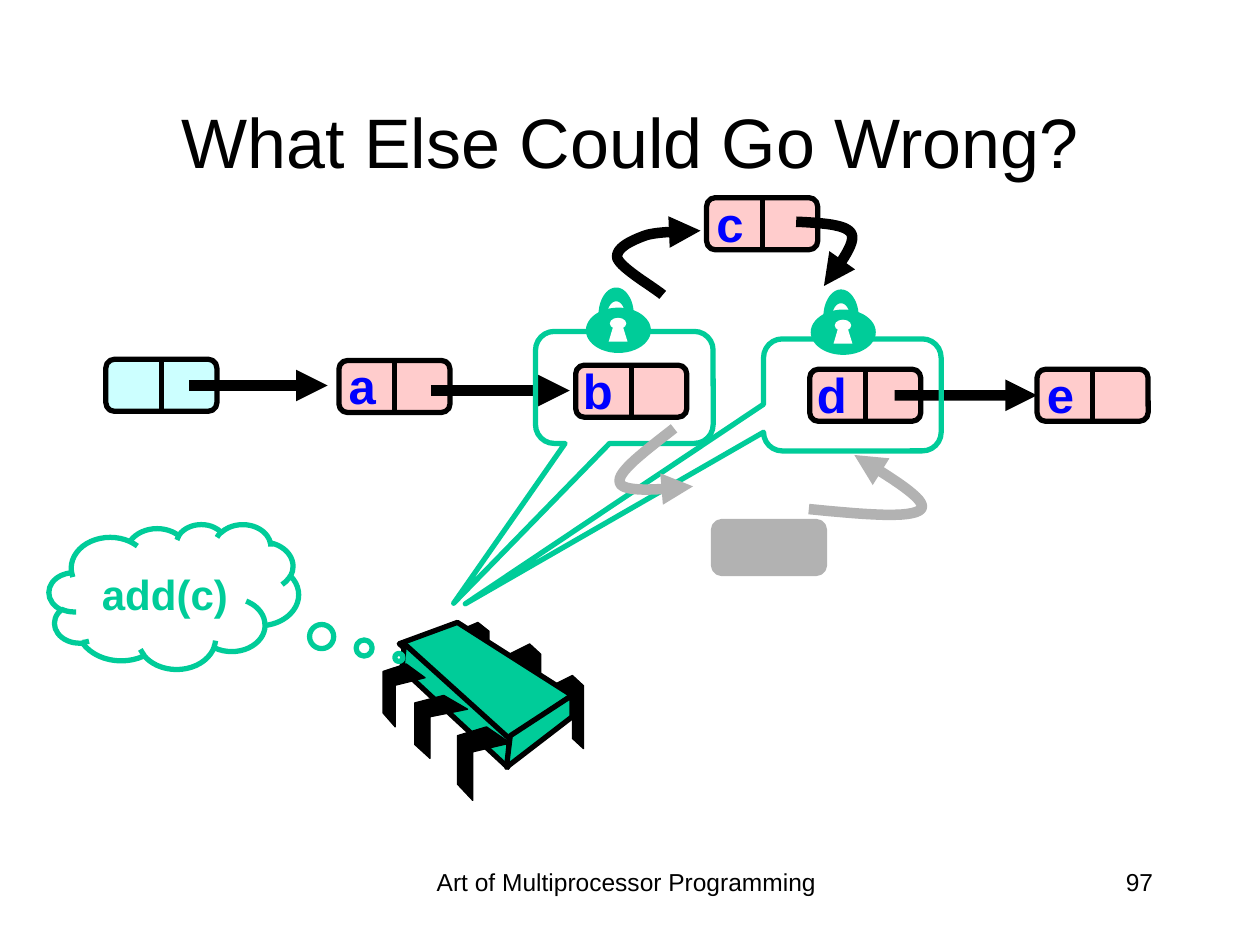
from lxml import etree
from pptx import Presentation
from pptx.dml.color import RGBColor
from pptx.enum.shapes import MSO_CONNECTOR, MSO_SHAPE
from pptx.enum.text import MSO_ANCHOR, PP_ALIGN
from pptx.oxml.ns import qn
from pptx.util import Pt

ROUND, OVAL = MSO_SHAPE.ROUNDED_RECTANGLE, MSO_SHAPE.OVAL
BUBBLE, CLOUD = MSO_SHAPE.ROUNDED_RECTANGULAR_CALLOUT, MSO_SHAPE.CLOUD_CALLOUT
STRAIGHT = MSO_CONNECTOR.STRAIGHT
LEFT, MID, RIGHT = PP_ALIGN.LEFT, PP_ALIGN.CENTER, PP_ALIGN.RIGHT
TOP, CENTER = MSO_ANCHOR.TOP, MSO_ANCHOR.MIDDLE

THEME = {
    "font": "Arial", "title": 40, "key": 28, "call": 24, "foot": 14,
    "black": "000000", "white": "FFFFFF", "blue": "0000FF", "green": "00CC99",
    "pink": "FFCCCC", "cyan": "CCFFFF", "gray": "B2B2B2",
    "thin": 0.75, "edge": 3, "arrow": 6,
}

LABELS = [
    ("Art of Multiprocessor Programming", (223, 492, 270, 36), "foot", MID, TOP),
    ("97", (516, 492, 150, 36), "foot", RIGHT, TOP),
    ("What Else Could Go Wrong?", (54, 35.5, 612, 90), "title", MID, CENTER),
]
NODE = (63.5, 29.75)
CHAIN = [
    ("", 60.5, 205.3, "cyan"),
    ("a", 193.7, 206, "pink"),
    ("b", 329, 208.7, "pink"),
    ("d", 462.7, 211, "pink"),
    ("e", 592.6, 211, "pink"),
]
LINKS = [(108, 220.3, 187.2), (246.2, 223.2, 325.6), (511.2, 225.9, 592.6)]
NEW = ("c", 403.8, 113, "pink")
GONE = ("", 407.7, 298, "gray")

BACK = [(0, .14), (.65, 0), (1, .14), (1, 1), (.65, .86), (.65, .28), (0, .43)]
FRONT = [(.55, 0), (1, .22), (.29, .34), (.29, 1), (0, .78), (0, .12)]
HIND = [(315.4, 386, 18, 41.8), (291, 368, 18, 41.8), (261.4, 355.7, 18, 36)]
FORE = [(261.4, 415.4, 30.2, 42), (237, 397.4, 30.2, 36), (218.9, 379.4, 24, 36)]
FACES = [
    [(261.4, 355.7), (326.9, 397.4), (290.2, 422.6), (228.2, 367.9)],
    [(231.1, 367.9), (290.9, 421.9), (290.2, 438.5), (229.7, 382.3)],
    [(326.9, 397.4), (326.9, 409.7), (289.4, 438.5), (291.6, 420.5)],
]

CALLS = [
    (BUBBLE, (306, 189.4, 101.5, 64), (-.961, 1.927, .167), ""),
    (CLOUD, (28, 299.5, 142.6, 82.8), (.902, .42), "add(c)"),
    (BUBBLE, (436.3, 193.7, 101.5, 64), (-2.179, 1.865, .167), ""),
]

LOCKS = [(334.8, 164.3), (463.3, 165.4)]
SLOT = [(13, 31), (15.8, 21.6), (20.9, 21.6), (23.8, 31)]
INNER = [(12.2, 15.8), (12.2, 11.4), (14.5, 7.9), (17.3, 7.9),
         (20.1, 7.9), (22.3, 11.4), (22.3, 15.8)]
OUTER = [(27.4, 15.8), (27.4, 7.1), (22.9, 0), (17.3, 0),
         (11.7, 0), (7.2, 7.1), (7.2, 15.8)]

RISE = [(378.7, 168.5), (373.7, 164.2), (355, 153.4), (352.8, 147.6), (351.4, 141.8),
        (360.7, 137.5), (368.6, 134.6), (376.6, 131.8), (395.3, 132.5), (400.3, 131.8)]
FALL = [(455, 126.7), (469.4, 127.4), (484.6, 128.2), (486.7, 133.9),
        (489.6, 140.4), (473.8, 158.4), (470.9, 163.4)]
STALE = [
    [(385.2, 244.8), (368.6, 257.8), (352.1, 270), (354.2, 275.8),
     (355.7, 281.5), (375.8, 280), (396, 278)],
    [(462.2, 290.9), (491.8, 293.8), (521.3, 296.6), (526.3, 290.9),
     (530.6, 285.8), (509, 272.9), (488.2, 260)],
]


def color(name):
    return RGBColor.from_string(THEME[name])


def stroke(shape, tint, size, head=False):
    shape.line.color.rgb = color(tint)
    shape.line.width = Pt(THEME[size])
    if head:
        line = shape.element.spPr.find(qn("a:ln"))
        etree.SubElement(line, qn("a:tailEnd")).set("type", "triangle")


def paint(shape, fill=None, tint=None, size="edge", head=False):
    shape.shadow.inherit = False
    if fill:
        shape.fill.solid()
        shape.fill.fore_color.rgb = color(fill)
    else:
        shape.fill.background()
    if tint:
        stroke(shape, tint, size, head)
    else:
        shape.line.fill.background()
    return shape


def write(shape, text, size="key", tint="black", bold=False, align=LEFT, anchor=TOP):
    frame = shape.text_frame
    frame.word_wrap = True
    frame.vertical_anchor = anchor
    frame.margin_left = frame.margin_right = Pt(7.2)
    frame.margin_top = frame.margin_bottom = Pt(3.6)
    para = frame.paragraphs[0]
    para.alignment = align
    run = para.add_run()
    run.text = text
    run.font.name = THEME["font"]
    run.font.size = Pt(THEME[size])
    run.font.bold = bold
    run.font.color.rgb = color(tint)


def place(home, kind, box, **look):
    return paint(home.add_shape(kind, *map(Pt, box)), **look)


def wire(home, start, end, tint="black", size="edge", head=False):
    line = home.add_connector(STRAIGHT, *map(Pt, start + end))
    stroke(line, tint, size, head)
    etree.SubElement(line.element.spPr, qn("a:effectLst"))
    return line


def trace(home, points, close=True, **look):
    dots = [(Pt(x), Pt(y)) for x, y in points]
    pen = home.build_freeform(*dots[0], scale=1.0)
    pen.add_line_segments(dots[1:], close=close)
    return paint(pen.convert_to_shape(), **look)


def bend(points, steps=16):
    dots = [points[0]]
    for i in range(0, len(points) - 1, 3):
        for n in range(1, steps + 1):
            t = n / steps
            parts = ((1 - t) ** 3, 3 * t * (1 - t) ** 2, 3 * t * t * (1 - t), t ** 3)
            dots.append(tuple(sum(k * p[axis] for k, p in zip(parts, points[i:i + 4]))
                              for axis in (0, 1)))
    return dots


def swoop(home, points, tint="black"):
    trace(home, bend(points), close=False, tint=tint, size="arrow", head=True)


def shift(points, x, y, w=1, h=1):
    return [(x + a * w, y + b * h) for a, b in points]


def node(home, text, x, y, fill):
    tint = "gray" if fill == "gray" else "black"
    box = place(home, ROUND, (x, y, *NODE), fill=fill, tint=tint)
    bar = wire(home, (x, y), (x, y + NODE[1]), tint)
    bar.begin_connect(box, 0)
    bar.end_connect(box, 2)
    if text:
        area = home.add_textbox(*map(Pt, (x - 4, y - 6.2, 32.2, 41)))
        write(area, text, tint="blue", bold=True, align=RIGHT)
    return box


def chip(home):
    for leg in HIND:
        trace(home, shift(BACK, *leg), fill="black", tint="black", size="thin")
    for face in FACES:
        trace(home, face, fill="green", tint="black")
    for leg in FORE:
        trace(home, shift(FRONT, *leg), fill="black", tint="black", size="thin")


def lock(home, x, y):
    place(home, OVAL, (x, y + 11.5, 37.2, 25.9), fill="green")
    place(home, OVAL, (x + 13.7, y + 17.3, 9.4, 6.5), fill="white")
    trace(home, shift(SLOT, x, y), fill="white")
    trace(home, shift(bend(INNER) + bend(OUTER), x, y), fill="green")


def main():
    deck = Presentation()
    deck.slide_width, deck.slide_height = Pt(720), Pt(540)
    page = deck.slides.add_slide(deck.slide_layouts[6]).shapes
    for text, box, size, align, anchor in LABELS:
        write(page.add_textbox(*map(Pt, box)), text, size=size, align=align, anchor=anchor)
    boxes = [node(page, *item) for item in CHAIN]
    links = [wire(page, (x, y), (end, y), size="arrow", head=True) for x, y, end in LINKS]
    links[-1].end_connect(boxes[-1], 1)
    chip(page.add_group_shape().shapes)
    for kind, box, bends, text in CALLS:
        call = place(page, kind, box, tint="green")
        for i, value in enumerate(bends):
            call.adjustments[i] = value
        if text:
            write(call, text, size="call", tint="green", bold=True, align=MID, anchor=CENTER)
    swoop(page, RISE)
    node(page.add_group_shape().shapes, *NEW)
    swoop(page, FALL)
    for x, y in LOCKS:
        lock(page.add_group_shape().shapes, x, y)
    node(page, *GONE)
    for points in STALE:
        swoop(page, points, "gray")
    deck.save("out.pptx")


if __name__ == "__main__":
    main()
